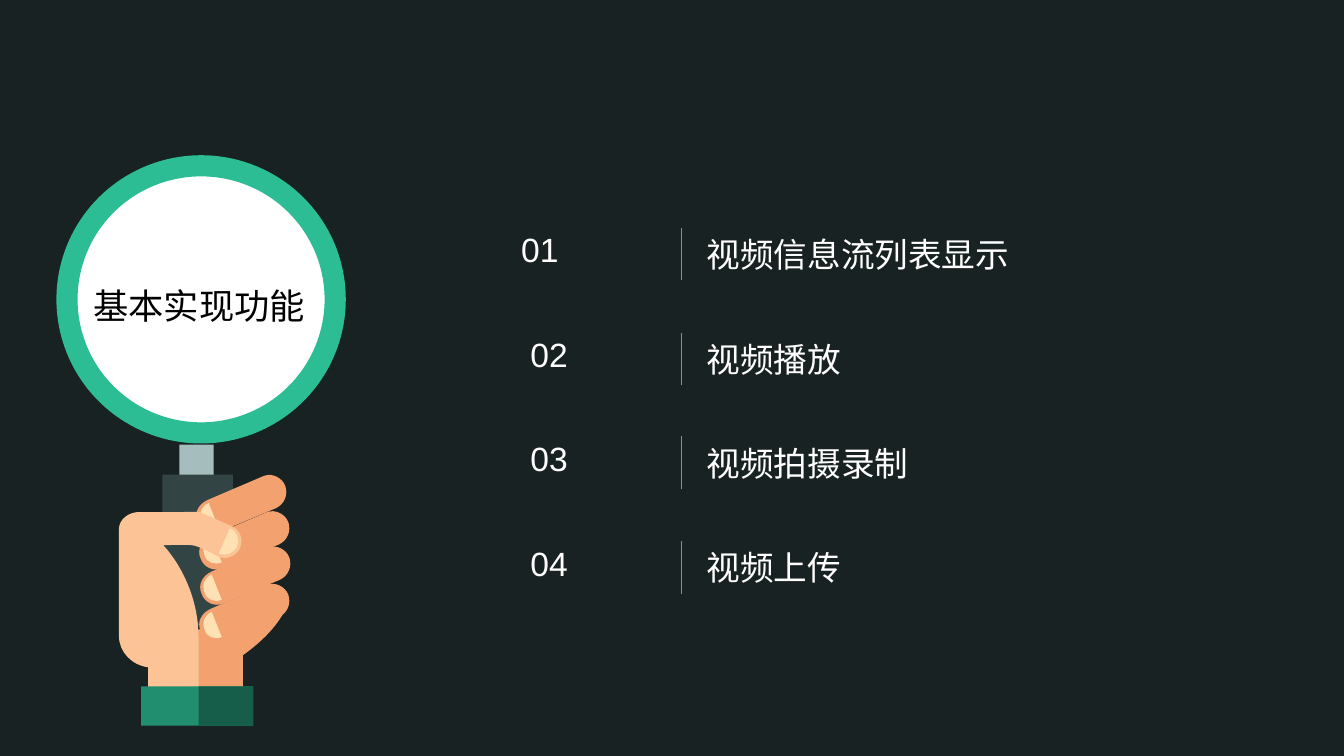
"""Build a slide with a hand-held magnifier beside four numbered features."""
from dataclasses import dataclass
from typing import Any

from lxml import etree
from pptx import Presentation
from pptx import util as u
from pptx.dml.color import RGBColor
from pptx.enum import shapes, text
from pptx.oxml import parse_xml
from pptx.oxml.ns import nsdecls, qn

PX = 9144
FONT = "Arial"

BACKGROUND, WHITE, BLACK = "192222", "FFFFFF", "000000"
GREEN, CUFF, CUFF_SHADE = "2CBD94", "218E6F", "165E4A"
STEEL, HANDLE = "A5BDBD", "324444"
SKIN, SKIN_SHADE, NAIL = "FCC397", "F2A16F", "FFE1B4"

Step = tuple[int, ...]


@dataclass(frozen=True)
class Box:
    """A rectangle in px."""

    left: int
    top: int
    width: int
    height: int

    def emu(self) -> tuple[int, int, int, int]:
        """Return the rectangle in EMU."""
        return self.left * PX, self.top * PX, self.width * PX, self.height * PX


@dataclass(frozen=True)
class Preset:
    """A filled preset shape."""

    kind: shapes.MSO_SHAPE
    box: Box
    fill: str


@dataclass(frozen=True)
class Outline:
    """A filled outline: a start point, then points (2) or Bézier curves (6)."""

    steps: tuple[Step, ...]
    fill: str
    left: int = 0
    top: int = 0


@dataclass(frozen=True)
class Feature:
    """A numbered feature."""

    number: str
    label: str


FINGER_STEPS: tuple[Step, ...] = (
    (91, 13), (94, 22, 90, 31, 82, 35), (25, 59), (17, 62, 7, 58, 4, 49),
    (0, 40, 5, 31, 14, 27), (70, 3), (78, 0, 88, 5, 91, 13),
)
NAIL_STEPS: tuple[Step, ...] = (
    (3, 18), (0, 10, 3, 3, 10, 0), (20, 25), (13, 28, 5, 25, 3, 18),
)
WRIST_STEPS: tuple[Step, ...] = (
    (283, 604), (283, 604, 276, 625, 241, 650), (241, 684), (195, 684), (195, 625),
)
PALM_STEPS: tuple[Step, ...] = (
    (230, 522), (200, 509), (196, 507, 184, 508, 182, 508), (138, 508),
    (128, 508, 118, 515, 118, 525), (118, 631), (118, 647, 131, 660, 147, 662),
    (147, 684), (197, 684), (197, 633), (197, 576, 162, 541, 162, 541),
    (162, 541, 183, 540, 191, 541), (199, 542, 216, 552, 216, 552),
    (224, 556, 234, 552, 238, 544), (242, 535, 238, 526, 230, 522),
)
THUMBNAIL_STEPS: tuple[Step, ...] = (
    (235, 542), (232, 549, 224, 552, 217, 549), (228, 524), (235, 527, 238, 535, 235, 542),
)


def finger(left: int, top: int, nail_left: int, nail_top: int) -> tuple[Outline, Outline]:
    """Return a finger and its nail."""
    return (
        Outline(FINGER_STEPS, SKIN_SHADE, left, top),
        Outline(NAIL_STEPS, NAIL, nail_left, nail_top),
    )


MAGNIFIER: tuple[Preset | Outline, ...] = (
    Preset(shapes.MSO_SHAPE.OVAL, Box(64, 165, 268, 268), WHITE),
    Preset(shapes.MSO_SHAPE.RECTANGLE, Box(178, 441, 34, 35), STEEL),
    Outline(WRIST_STEPS, SKIN_SHADE),
    Preset(shapes.MSO_SHAPE.RECTANGLE, Box(161, 471, 70, 150), HANDLE),
    *finger(192, 469, 197, 499),
    *finger(195, 505, 200, 533),
    Outline(PALM_STEPS, SKIN),
    Outline(THUMBNAIL_STEPS, NAIL),
    Preset(shapes.MSO_SHAPE.RECTANGLE, Box(140, 681, 111, 39), CUFF),
    Preset(shapes.MSO_SHAPE.RECTANGLE, Box(197, 681, 54, 39), CUFF_SHADE),
    *finger(196, 540, 200, 570),
    *finger(195, 577, 200, 607),
)
RING = Preset(shapes.MSO_SHAPE.DONUT, Box(56, 154, 287, 286), GREEN)
RING_THICKNESS = 21
FEATURES = (
    Feature("01", "视频信息流列表显示"),
    Feature(" 02", "视频播放"),
    Feature(" 03", "视频拍摄录制"),
    Feature(" 04", "视频上传"),
)
FIRST_ROW, LAST_ROW, DIVIDER_X, DIVIDER_HEIGHT = 226, 537, 676, 52


def color(value: str) -> RGBColor:
    """Turn a hex string into a colour."""
    return RGBColor.from_string(value)


def paint(shape: Any, fill: str) -> None:
    """Give a shape a flat fill without line or shadow."""
    shape.shadow.inherit = False
    shape.fill.solid()
    shape.fill.fore_color.rgb = color(fill)
    shape.line.fill.background()


def draw_preset(group: Any, preset: Preset) -> Any:
    """Draw a preset shape."""
    shape = group.shapes.add_shape(preset.kind, *preset.box.emu())
    paint(shape, preset.fill)
    return shape


def draw_outline(group: Any, outline: Outline) -> None:
    """Draw a freeform whose six-number steps become Bézier curves."""
    points = [
        ((x + outline.left) * PX, (y + outline.top) * PX)
        for step in outline.steps
        for x, y in zip(step[::2], step[1::2])
    ]
    builder = group.shapes.build_freeform(*points[0])
    builder.add_line_segments(points[1:], close=True)
    shape = builder.convert_to_shape()
    segments = iter(list(shape._element.iter(qn("a:lnTo"))))
    for step in outline.steps[1:]:
        segment = next(segments)
        if len(step) == 6:
            curve = etree.SubElement(segment.getparent(), qn("a:cubicBezTo"))
            segment.addprevious(curve)
            for control in (segment, next(segments), next(segments)):
                curve.append(control[0])
                control.getparent().remove(control)
    paint(shape, outline.fill)


def draw_text(group: Any, box: Box, words: str, size: float, ink: str, wrap: bool = True) -> Any:
    """Draw a line of text and return its frame."""
    frame = group.shapes.add_textbox(*box.emu()).text_frame
    frame.word_wrap = wrap
    frame.text = words
    font = frame.paragraphs[0].runs[0].font
    font.name, font.size = FONT, u.Pt(size)
    font.color.rgb = color(ink)
    return frame


def draw_magnifier(slide: Any) -> None:
    """Draw the hand, the magnifier and its title."""
    group = slide.shapes.add_group_shape()
    for part in MAGNIFIER:
        if isinstance(part, Preset):
            draw_preset(group, part)
        else:
            draw_outline(group, part)
    draw_preset(group, RING).adjustments[0] = RING_THICKNESS / RING.box.height
    title = draw_text(group, Box(77, 274, 241, 57), "基本实现功能", 25.2, BLACK)
    title.vertical_anchor = text.MSO_ANCHOR.MIDDLE
    title.paragraphs[0].alignment = text.PP_ALIGN.CENTER


def draw_feature(slide: Any, feature: Feature, top: int) -> None:
    """Draw a number, a divider and a label."""
    group = slide.shapes.add_group_shape()
    ends = (DIVIDER_X * PX, top * PX, DIVIDER_X * PX, (top + DIVIDER_HEIGHT) * PX)
    divider = group.shapes.add_connector(shapes.MSO_CONNECTOR.STRAIGHT, *ends)
    divider.line.color.rgb = color(GREEN)
    divider.line.width = u.Pt(0.75)
    divider._element.spPr.append(parse_xml(f"<a:effectLst {nsdecls('a')}/>"))
    number = draw_text(group, Box(507, top + 1, 161, 50), feature.number, 24, WHITE)
    number.paragraphs[0].line_spacing = 0.9
    draw_text(group, Box(691, top + 1, 388, 51), feature.label, 24, WHITE, wrap=False)


def main() -> None:
    """Build and save the presentation."""
    presentation = Presentation()
    presentation.slide_width, presentation.slide_height = 1333 * PX, 750 * PX
    slide = presentation.slides.add_slide(presentation.slide_layouts[6])
    slide.background.fill.solid()
    slide.background.fill.fore_color.rgb = color(BACKGROUND)
    draw_magnifier(slide)
    for row, feature in enumerate(FEATURES):
        top = FIRST_ROW + round(row * (LAST_ROW - FIRST_ROW) / (len(FEATURES) - 1))
        draw_feature(slide, feature, top)
    presentation.save("out.pptx")


if __name__ == "__main__":
    main()
